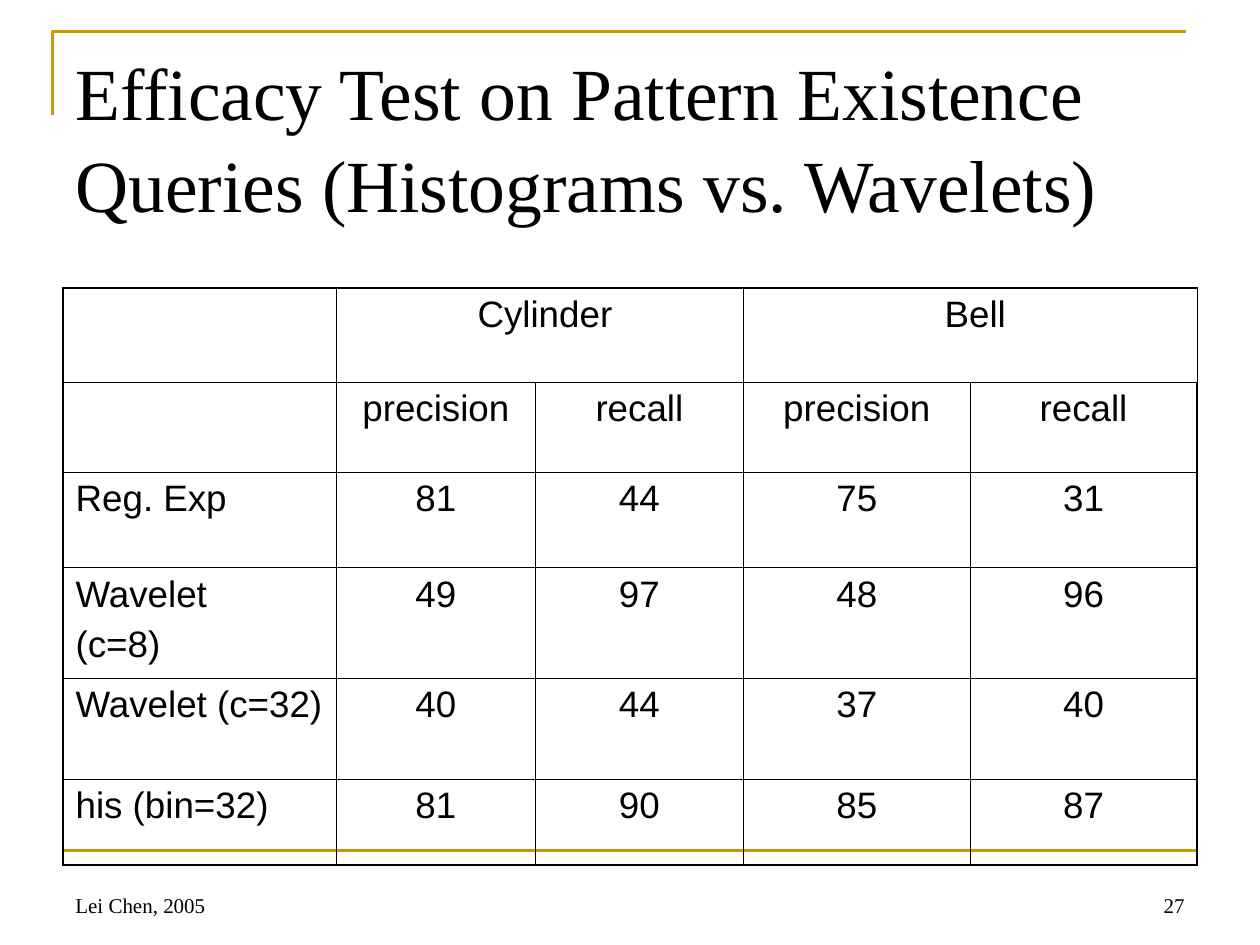
from pptx import Presentation
from pptx.dml.color import RGBColor as RGB
from pptx.enum.shapes import MSO_CONNECTOR as Conn
from pptx.enum.text import MSO_ANCHOR as Anchor, PP_ALIGN as Align
from pptx.oxml.ns import qn
from pptx.util import Pt
from lxml.etree import SubElement as Sub

HEX = {"ink": "000000", "gold": "CC9900"}

deck = Presentation()
deck.slide_width, deck.slide_height = Pt(720), Pt(540)
slide = deck.slides.add_slide(deck.slide_layouts[6])
shapes = slide.shapes


def write(frame, text, size=12, font="Times New Roman", align=Align.LEFT,
          before=None, space=None):
    """Fill a text frame, one paragraph for each line of text."""
    frame.word_wrap = True
    frame.text = text
    for para in frame.paragraphs:
        para.alignment = align
        para.line_spacing = space
        if before:
            para.space_before = Pt(before)
        para.font.size = Pt(size)
        para.font.name = font
        para.font.color.rgb = RGB.from_string(HEX["ink"])


def edge(cell, side, width):
    """Draw one border of a table cell."""
    line = Sub(cell._tc.get_or_add_tcPr(), qn(f"a:{side}"), w=str(Pt(width)))
    Sub(Sub(line, qn("a:solidFill")), qn("a:srgbClr"), val=HEX["ink"])


# Gold corner and rule
pen = shapes.build_freeform(Pt(30), Pt(66), scale=1.0)
pen.add_line_segments([(Pt(30), Pt(18)), (Pt(678), Pt(18))], close=False)
corner = pen.convert_to_shape()
corner.fill.background()
corner.shadow.inherit = False
rule = shapes.add_connector(Conn.STRAIGHT, Pt(36), Pt(486), Pt(684), Pt(486))
Sub(rule._element.spPr, qn("a:effectLst"))
for part in (corner, rule):
    part.line.color.rgb = RGB.from_string(HEX["gold"])
    part.line.width = Pt(1.5)

# Title
title = shapes.add_textbox(Pt(36), Pt(21.6), Pt(684), Pt(89.3))
write(title.text_frame,
      "Efficacy Test on Pattern Existence Queries (Histograms vs. Wavelets)",
      size=42, space=1.04)

# Results table
rows = [
    ("", " Cylinder", "", " Bell", ""),
    ("", "precision", "recall", "precision", "recall"),
    ("Reg. Exp", "81", "44", "75", "31"),
    ("Wavelet\n(c=8)", "49", "97", "48", "96"),
    ("Wavelet (c=32)", "40", "44", "37", "40"),
    ("his (bin=32)", "81", "90", "85", "87"),
]
widths = [156.2, 113.8, 118.8, 129.6, 129.6]
heights = [54, 51.4, 54.7, 63.2, 57.6, 49]
table = shapes.add_table(len(rows), len(widths), Pt(36), Pt(164.4),
                         Pt(sum(widths)), Pt(sum(heights))).table
table.first_row = table.horz_banding = False
for col, width in zip(table.columns, widths):
    col.width = Pt(width)
for row, height in zip(table.rows, heights):
    row.height = Pt(height)
for left in (1, 3):
    table.cell(0, left).merge(table.cell(0, left + 1))

thin, thick = 0.45, 1.08
for r, row in enumerate(rows):
    for c, text in enumerate(row):
        cell = table.cell(r, c)
        if text:
            write(cell.text_frame, text, size=21, font="Arial", before=5.2,
                  align=Align.CENTER if c else Align.LEFT)
        outer = {"lnL": c == 0, "lnR": c == len(widths) - 1,
                 "lnT": r == 0, "lnB": r == len(rows) - 1}
        for side, rim in outer.items():
            edge(cell, side, thick if rim else thin)
        cell.fill.background()

# Footer and page number
for text, left, width, align in (("Lei Chen, 2005", 36, 228, Align.LEFT),
                                 ("27", 516, 168, Align.RIGHT)):
    foot = shapes.add_textbox(Pt(left), Pt(492), Pt(width), Pt(36))
    foot.text_frame.vertical_anchor = Anchor.BOTTOM
    write(foot.text_frame, text, align=align)

deck.save("out.pptx")
